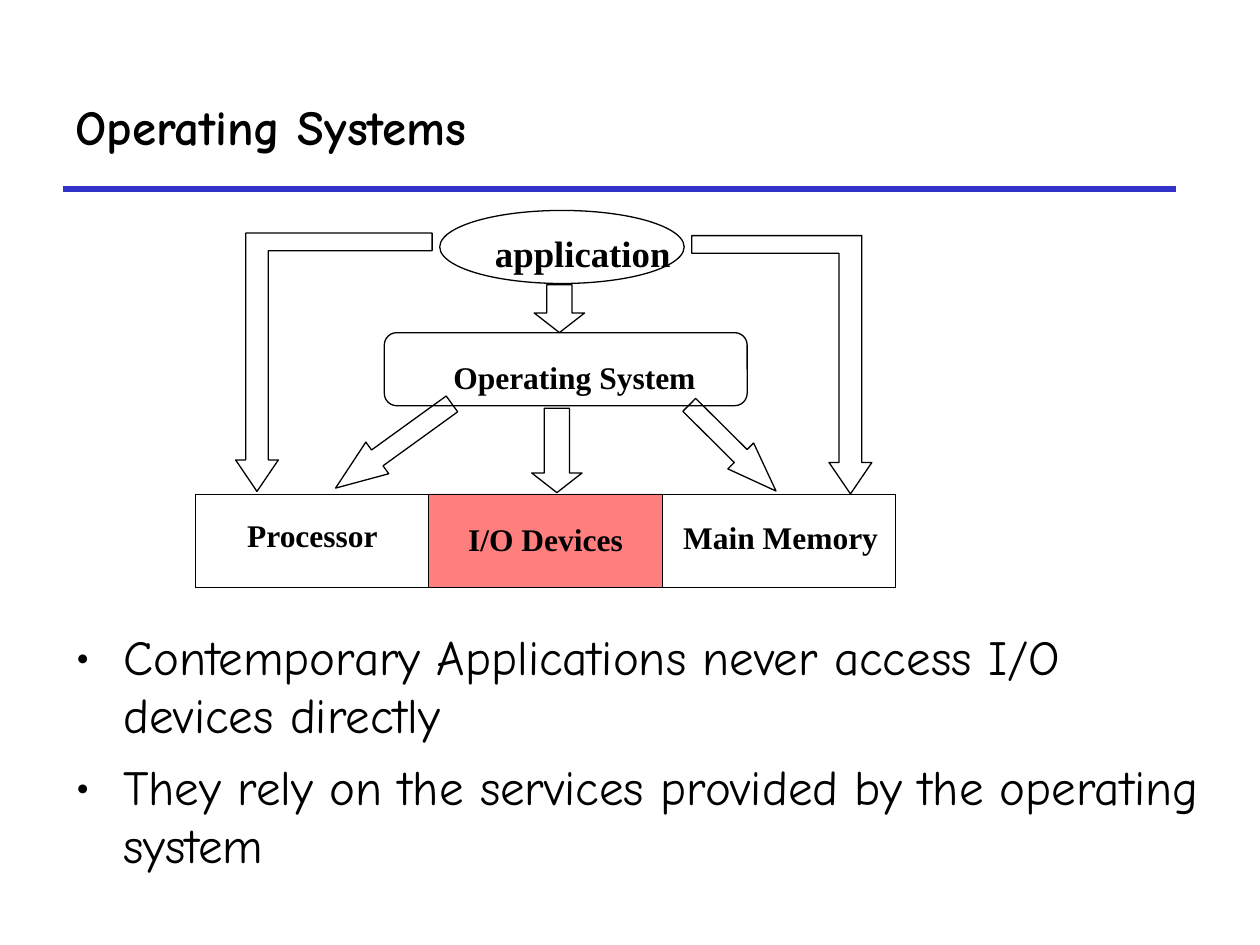
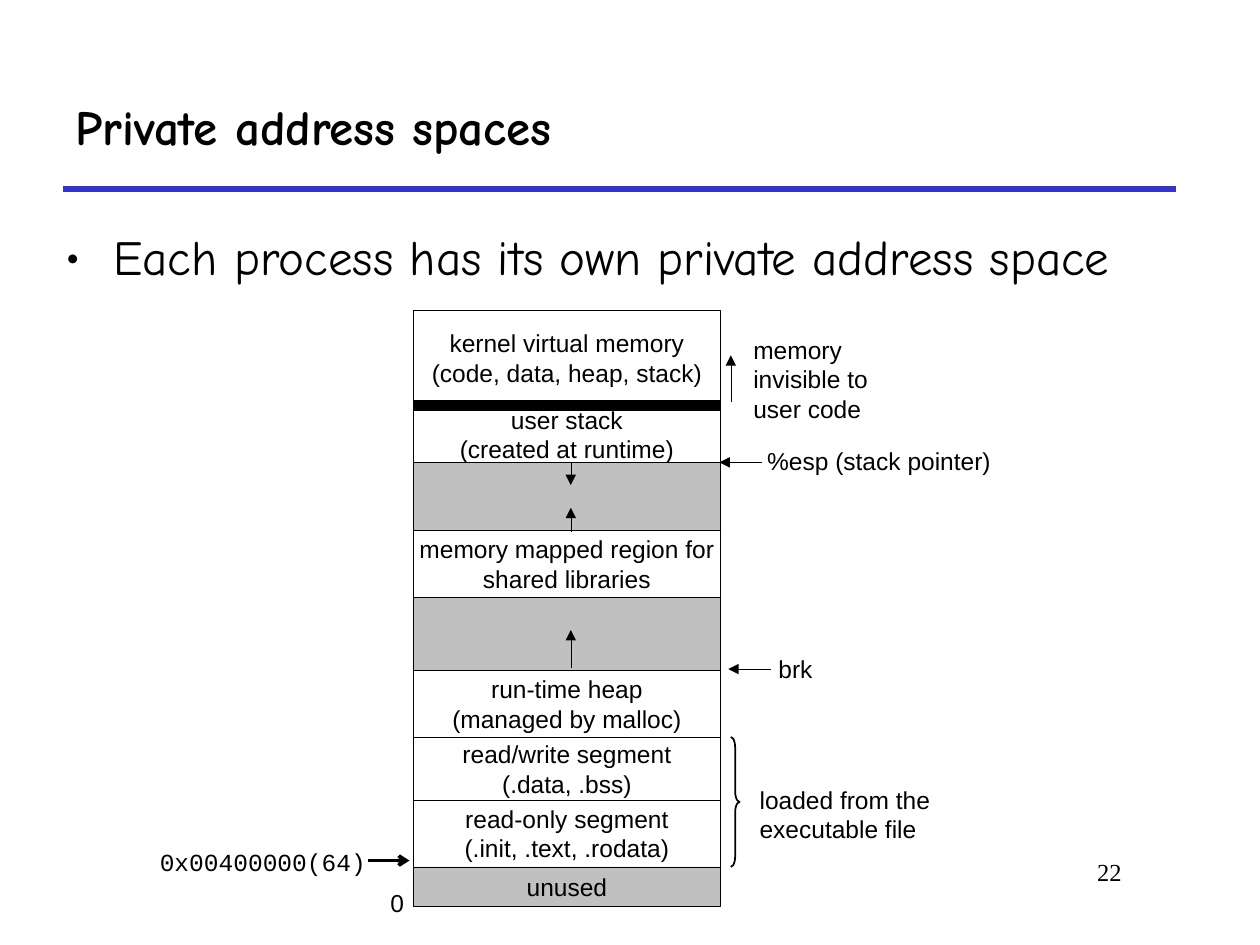
from itertools import accumulate

from lxml.etree import SubElement
from pptx import Presentation
from pptx.dml.color import RGBColor
from pptx.enum.shapes import MSO_CONNECTOR, MSO_SHAPE as SHAPE
from pptx.enum.text import MSO_ANCHOR as ANCHOR, MSO_AUTO_SIZE as AUTO_SIZE, PP_ALIGN as ALIGN
from pptx.oxml.ns import qn
from pptx.util import Inches, Pt

COLORS = {"ink": "000000", "paper": "FFFFFF", "rule": "3333CC",
          "gap": "C0C0C0", "highlight": "FF0000"}
TITLE_FONT, DIAGRAM_FONT = "Comic Neue", "Times New Roman"
MEMORY_FONT, ADDRESS_FONT = "Arial", "Courier New"


def color(name):
    return RGBColor.from_string(COLORS[name])


def write(frame, text, font, size, bold=False, align=ALIGN.LEFT):
    frame.text = text
    for para in frame.paragraphs:
        para.alignment = align
        for span in para.runs:
            span.font.name = font
            span.font.size = Pt(size)
            span.font.bold = bold
            span.font.color.rgb = color("ink")


def add_label(slide, place, text, font, size, wrap=False, anchor=ANCHOR.TOP, **style):
    """Text box that either wraps in a fixed size or grows with its text."""
    box = slide.shapes.add_textbox(*map(Inches, place))
    frame = box.text_frame
    frame.word_wrap = wrap
    frame.auto_size = AUTO_SIZE.NONE if wrap else AUTO_SIZE.SHAPE_TO_FIT_TEXT
    frame.vertical_anchor = anchor
    write(frame, text, font, size, **style)
    return box


def add_line(slide, start, end, width, ink="ink", head=None):
    line = slide.shapes.add_connector(MSO_CONNECTOR.STRAIGHT, *map(Inches, start + end))
    line.line.color.rgb = color(ink)
    line.line.width = Pt(width)
    properties = line._element.spPr
    if head:
        SubElement(properties.find(qn("a:ln")), qn("a:tailEnd"), type=head)
    SubElement(properties, qn("a:effectLst"))


def outline(shape, width=0.75, fill=None):
    shape.shadow.inherit = False
    shape.line.color.rgb = color("ink")
    shape.line.width = Pt(width)
    if fill:
        shape.fill.solid()
        shape.fill.fore_color.rgb = color(fill)
    else:
        shape.fill.background()


def add_outlined(slide, kind, place, adjustments=(), rotation=0, **look):
    shape = slide.shapes.add_shape(kind, *map(Inches, place))
    for index, value in enumerate(adjustments):
        shape.adjustments[index] = value
    shape.rotation = rotation
    outline(shape, **look)
    return shape


def add_elbow_arrow(slide, tail_x, top, tip_x):
    """Block arrow that runs sideways from its tail, then down to its tip."""
    side = 1 if tip_x > tail_x else -1
    inner, outer = tip_x - side * 0.09, tip_x + side * 0.09
    head_inner, head_outer = tip_x - side * 0.17, tip_x + side * 0.17
    bottom, neck, tip = top + 0.14, top + 1.8, top + 2.05
    points = [(tail_x, bottom), (inner, bottom), (inner, neck), (head_inner, neck),
              (tip_x, tip), (head_outer, neck), (outer, neck), (outer, top),
              (tail_x, top)]
    points = [(Inches(x), Inches(y)) for x, y in points]
    builder = slide.shapes.build_freeform(*points[0])
    builder.add_line_segments(points[1:], close=True)
    outline(builder.convert_to_shape())


def add_bullets(slide, place, lines):
    box = add_label(slide, place, "\n".join(lines), TITLE_FONT, 28, wrap=True)
    for index, para in enumerate(box.text_frame.paragraphs):
        if index:
            para.space_before = Pt(7)
        properties = para._p.get_or_add_pPr()
        properties.set("marL", str(Inches(0.38)))
        properties.set("indent", str(-Inches(0.38)))
        SubElement(properties, qn("a:buFont"), typeface=TITLE_FONT)
        SubElement(properties, qn("a:buChar"), char="•")


def add_cell_borders(cell, width):
    properties = cell._tc.get_or_add_tcPr()
    for index, edge in enumerate(("lnL", "lnR", "lnT", "lnB")):
        border = SubElement(properties, qn(f"a:{edge}"), w=str(Pt(width)))
        fill = SubElement(border, qn("a:solidFill"))
        SubElement(fill, qn("a:srgbClr"), val=COLORS["ink"])
        properties.insert(index, border)


def add_hardware_table(slide):
    frame = slide.shapes.add_table(1, 3, *map(Inches, (1.55, 3.92, 5.56, 0.74)))
    table = frame.table
    table.first_row = table.horz_banding = False
    for cell in table.iter_cells():
        cell.fill.background()
        add_cell_borders(cell, 0.45)
    devices = table.cell(0, 1)
    devices.vertical_anchor = ANCHOR.MIDDLE
    write(devices.text_frame, "I/O Devices", DIAGRAM_FONT, 18, True, ALIGN.CENTER)
    devices.fill.solid()
    devices.fill.fore_color.rgb = color("highlight")
    tint = devices._tc.tcPr.find(f"{qn('a:solidFill')}/{qn('a:srgbClr')}")
    SubElement(tint, qn("a:alpha"), val="50000")


def add_titled_slide(deck, title):
    slide = deck.slides.add_slide(deck.slide_layouts[6])
    add_line(slide, (0.5, 1.5), (9.33, 1.5), 3, ink="rule")
    add_label(slide, (0.5, 0.5, 8.83, 1), title, TITLE_FONT, 28, wrap=True,
              anchor=ANCHOR.MIDDLE, bold=True)
    return slide


def build_operating_systems(deck):
    slide = add_titled_slide(deck, "Operating Systems")
    add_hardware_table(slide)
    for place, name in (((1.7, 4.05, 1.56, 0.4), "Processor"),
                        ((5.22, 4.06, 1.95, 0.4), "Main Memory")):
        add_label(slide, place, name, DIAGRAM_FONT, 18, wrap=True, bold=True,
                  align=ALIGN.CENTER)

    add_outlined(slide, SHAPE.OVAL, (3.49, 1.67, 1.94, 0.58))
    add_label(slide, (3.83, 1.78, 1.62, 0.45), "application", DIAGRAM_FONT, 21, bold=True)
    add_outlined(slide, SHAPE.ROUNDED_RECTANGLE, (3.05, 2.64, 2.88, 0.58), [0.17])
    add_label(slide, (3.5, 2.79, 2.14, 0.4), "Operating System", DIAGRAM_FONT, 18,
              bold=True)

    for place, head_length, rotation in (((2.97, 2.97, 0.31, 1.14), 1.32, 54.1),
                                         ((4.22, 3.24, 0.4, 0.67), 0.39, 0),
                                         ((5.67, 3.07, 0.29, 0.97), 1.36, 314.8),
                                         ((4.24, 2.26, 0.4, 0.38), 0.41, 0)):
        add_outlined(slide, SHAPE.DOWN_ARROW, place, [0.5, head_length], rotation)
    add_elbow_arrow(slide, 3.43, 1.85, 2.04)
    add_elbow_arrow(slide, 5.49, 1.87, 6.75)

    add_bullets(slide, (0.5, 4.92, 9.17, 2.23), [
        "Contemporary Applications never access I/O devices directly",
        "They rely on the services provided by the operating system"])


def add_memory_map(slide, left, top, width):
    """Stack the regions from the highest address down to zero."""
    regions = [(0.76, "kernel virtual memory\n(code, data, heap, stack)"),
               (0.45, "user stack\n(created at runtime)"),
               (0.54, ""),
               (0.53, "memory mapped region for\nshared libraries"),
               (0.58, ""),
               (0.53, "run-time heap\n(managed by malloc)"),
               (0.5, "read/write segment\n(.data, .bss)"),
               (0.53, "read-only segment\n(.init, .text, .rodata)"),
               (0.31, "unused")]
    tops = accumulate((height for height, _ in regions), initial=top)
    for region_top, (height, text) in zip(tops, regions):
        fill = "gap" if text in ("", "unused") else "paper"
        region = add_outlined(slide, SHAPE.RECTANGLE, (left, region_top, width, height),
                              width=0.25, fill=fill)
        if text:
            region.text_frame.word_wrap = False
            region.text_frame.vertical_anchor = ANCHOR.MIDDLE
            write(region.text_frame, text, MEMORY_FONT, 14, align=ALIGN.CENTER)


def build_address_spaces(deck):
    slide = add_titled_slide(deck, "Private address spaces")
    add_label(slide, (7.58, 6.75, 1.42, 0.5), "22", DIAGRAM_FONT, 14, wrap=True,
              align=ALIGN.RIGHT)
    add_bullets(slide, (0.42, 1.75, 9.25, 0.58),
                ["Each process has its own private address space"])
    add_memory_map(slide, 3.28, 2.46, 2.44)
    add_line(slide, (3.28, 3.22), (5.72, 3.22), 6)

    for start, end in (((4.53, 5.3), (4.53, 5)),
                       ((4.53, 4.22), (4.53, 4.03)),
                       ((4.53, 3.67), (4.53, 3.85)),
                       ((6.05, 3.67), (5.71, 3.67)),
                       ((5.8, 3.19), (5.8, 2.82)),
                       ((6.12, 5.31), (5.78, 5.31))):
        add_line(slide, start, end, 0.25, head="triangle")
    add_line(slide, (2.92, 6.83), (3.25, 6.83), 2, head="arrow")
    add_outlined(slide, SHAPE.RIGHT_BRACE, (5.8, 5.85, 0.07, 1.03), [1.19], width=1)

    for place, text in (((3, 7, 0.31, 0.34), "0"),
                        ((5.99, 3.49, 2, 0.34), "%esp (stack pointer)"),
                        ((5.88, 2.61, 1.11, 0.8), "memory\ninvisible to\nuser code"),
                        ((6.08, 5.14, 0.47, 0.34), "brk"),
                        ((5.93, 6.18, 1.61, 0.57), "loaded from the\nexecutable file")):
        add_label(slide, place, text, MEMORY_FONT, 14)
    add_label(slide, (1.17, 6.67, 1.84, 0.34), "0x00400000(64)", ADDRESS_FONT, 14)


def main():
    deck = Presentation()
    deck.slide_width, deck.slide_height = Inches(10), Inches(7.5)
    build_operating_systems(deck)
    build_address_spaces(deck)
    deck.save("out.pptx")


if __name__ == "__main__":
    main()
